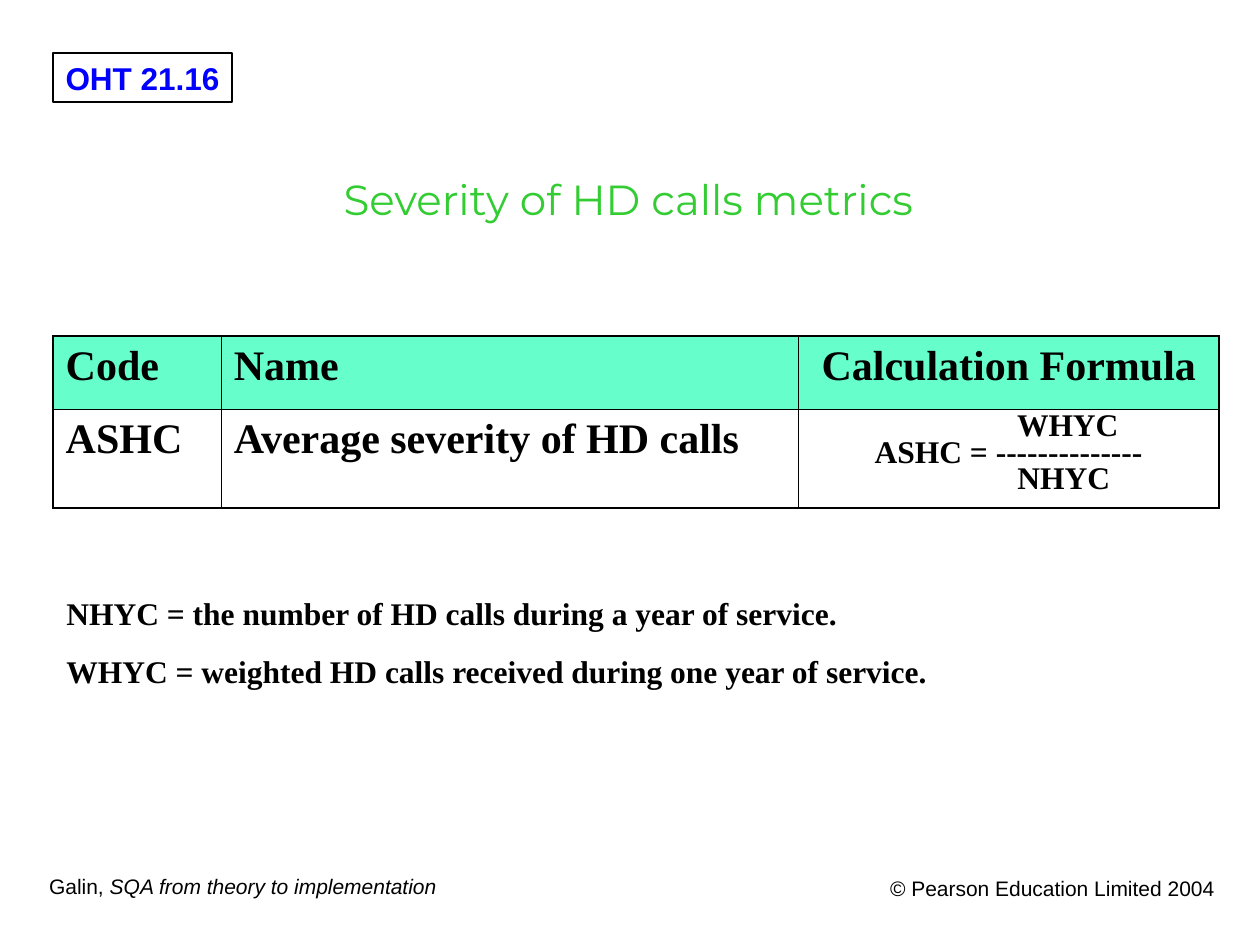
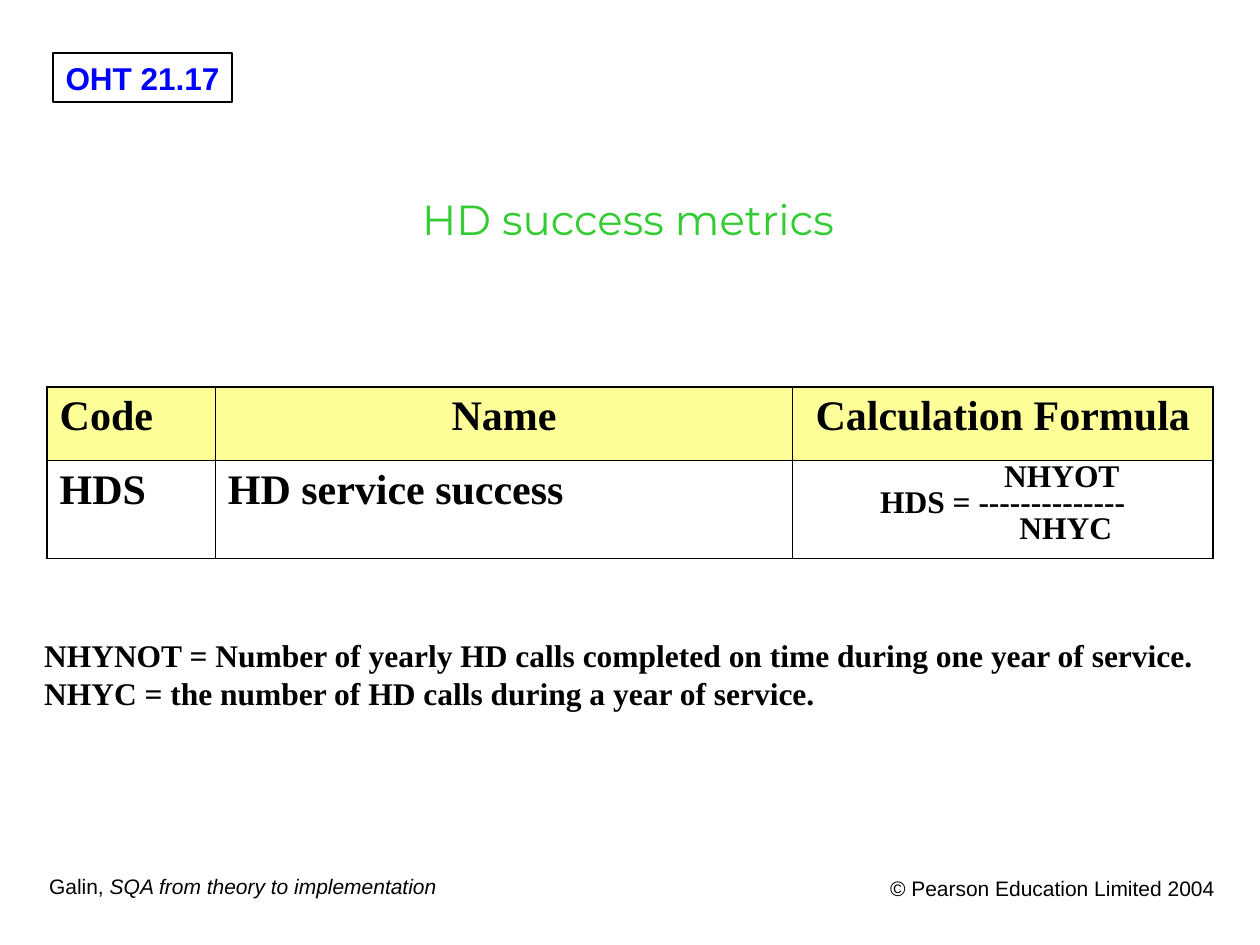
from lxml.etree import SubElement
from pptx import Presentation
from pptx.dml.color import RGBColor
from pptx.enum.shapes import MSO_SHAPE
from pptx.enum.text import MSO_ANCHOR, PP_ALIGN
from pptx.oxml.ns import qn
from pptx.util import Cm, Pt

BLACK, BLUE, GREEN = "000000", "0000FF", "33CC33"
SANS, SERIF, DISPLAY = "Arial", "Times New Roman", "Montserrat"
LEFT, CENTER, RIGHT = PP_ALIGN.LEFT, PP_ALIGN.CENTER, PP_ALIGN.RIGHT

TAG_BOX = (1.07, 1.07, 3.61, 0.99)
SOURCE_BOX = (0.74, 17.48, 8.33, 0.76)
COPYRIGHT_BOX = (16.87, 17.53, 7.87, 0.99)
SOURCE = [("Galin, ", False), ("SQA from theory to implementation", True)]
COPYRIGHT = "© Pearson Education Limited 2004"

HEADERS = ["Code", "Name", "Calculation Formula"]
COLUMN_WIDTHS = [3.39, 11.64, 8.47]
ROW_HEIGHTS = [1.48, 1.98]
OUTER_LINE, INNER_LINE = 1.08, 0.45

METRICS = [
    {
        "tag": "OHT 21.16",
        "title": "Severity of HD calls metrics",
        "title_box": (3.0, 3.38, 19.33, 1.35),
        "table_at": (1.07, 6.78),
        "header_fill": "66FFCC",
        "name_align": LEFT,
        "code": "ASHC",
        "name": "Average severity of HD calls",
        "formula": [("WHYC", 2.38), ("ASHC = --------------", 0), ("NHYC", 2.22)],
        "notes": ["NHYC = the number of HD calls during a year of service.",
                  "WHYC = weighted HD calls received during one year of service."],
        "notes_box": (1.09, 11.86, 20.27, 2.18),
        "notes_gap": 11.2,
    },
    {
        "tag": "OHT 21.17",
        "title": "HD success metrics",
        "title_box": (5.74, 3.78, 13.84, 1.14),
        "table_at": (0.95, 7.8),
        "header_fill": "FFFF99",
        "name_align": CENTER,
        "code": "HDS",
        "name": "HD service success",
        "formula": [("NHYOT", 2.38), ("HDS = --------------", 0), ("NHYC", 2.54)],
        "notes": ["NHYNOT = Number of yearly HD calls completed on time during one year of service.",
                  "NHYC = the number of HD calls during a year of service."],
        "notes_box": (0.64, 12.7, 23.93, 2.54),
        "notes_gap": 0,
    },
]


def color(value):
    return RGBColor.from_string(value)


def lengths(values):
    return [Cm(value) for value in values]


def style(paragraph, size, font, font_color=BLACK, bold=False, align=LEFT):
    paragraph.alignment = align
    paragraph.font.size = Pt(size)
    paragraph.font.name = font
    paragraph.font.bold = bold
    paragraph.font.color.rgb = color(font_color)


def write_lines(frame, lines, size, font, gap=0, **look):
    for index, line in enumerate(lines):
        paragraph = frame.add_paragraph() if index else frame.paragraphs[0]
        paragraph.text = line
        if index and gap:
            paragraph.space_before = Pt(gap)
        style(paragraph, size, font, **look)


def add_text(slide, box, lines, size, font, wrap=True, **look):
    frame = slide.shapes.add_textbox(*lengths(box)).text_frame
    frame.word_wrap = wrap
    write_lines(frame, lines, size, font, **look)
    return frame


def add_frame(slide, tag):
    shape = slide.shapes.add_shape(MSO_SHAPE.RECTANGLE, *lengths(TAG_BOX))
    shape.shadow.inherit = False
    shape.fill.background()
    shape.line.color.rgb = color(BLACK)
    shape.line.width = Pt(0.75)
    shape.text_frame.word_wrap = False
    shape.text_frame.vertical_anchor = MSO_ANCHOR.MIDDLE
    write_lines(shape.text_frame, [tag], 18, SANS,
                font_color=BLUE, bold=True, align=CENTER)

    source = add_text(slide, SOURCE_BOX, [""], 12, SANS, wrap=False)
    for text, italic in SOURCE:
        run = source.paragraphs[0].add_run()
        run.text = text
        run.font.italic = italic
    add_text(slide, COPYRIGHT_BOX, [COPYRIGHT], 12, SANS, align=RIGHT)


def set_borders(cell, row, column):
    outer_sides = {
        "L": column == 0,
        "R": column == len(COLUMN_WIDTHS) - 1,
        "T": row == 0,
        "B": row == len(ROW_HEIGHTS) - 1,
    }
    properties = cell._tc.get_or_add_tcPr()
    for side, outer in outer_sides.items():
        width = Pt(OUTER_LINE if outer else INNER_LINE)
        line = SubElement(properties, qn(f"a:ln{side}"), w=str(width))
        fill = SubElement(line, qn("a:solidFill"))
        SubElement(fill, qn("a:srgbClr"), val=BLACK)


def write_formula(frame, formula):
    write_lines(frame, [text for text, _ in formula], 18, SERIF,
                bold=True, align=CENTER)
    for paragraph, (_, indent) in zip(frame.paragraphs, formula):
        paragraph.line_spacing = 0.75
        paragraph._p.get_or_add_pPr().set("marL", str(Cm(indent)))


def add_metric_table(slide, metric):
    size = (sum(COLUMN_WIDTHS), sum(ROW_HEIGHTS))
    table = slide.shapes.add_table(len(ROW_HEIGHTS), len(COLUMN_WIDTHS),
                                   *lengths(metric["table_at"] + size)).table
    table.first_row = table.horz_banding = False
    for column, width in zip(table.columns, COLUMN_WIDTHS):
        column.width = Cm(width)
    for row, height in zip(table.rows, ROW_HEIGHTS):
        row.height = Cm(height)

    header_aligns = [LEFT, metric["name_align"], CENTER]
    for column, (header, align) in enumerate(zip(HEADERS, header_aligns)):
        cell = table.cell(0, column)
        write_lines(cell.text_frame, [header], 24, SERIF, bold=True, align=align)
        set_borders(cell, 0, column)
        cell.fill.solid()
        cell.fill.fore_color.rgb = color(metric["header_fill"])

        cell = table.cell(1, column)
        set_borders(cell, 1, column)
        cell.fill.background()
    for column, key in enumerate(["code", "name"]):
        write_lines(table.cell(1, column).text_frame, [metric[key]], 24, SERIF, bold=True)
    write_formula(table.cell(1, 2).text_frame, metric["formula"])


def main():
    presentation = Presentation()
    presentation.slide_width, presentation.slide_height = Cm(25.4), Cm(19.05)
    for metric in METRICS:
        slide = presentation.slides.add_slide(presentation.slide_layouts[6])
        add_frame(slide, metric["tag"])
        add_metric_table(slide, metric)
        add_text(slide, metric["notes_box"], metric["notes"], 18, SERIF,
                 gap=metric["notes_gap"], bold=True)
        add_text(slide, metric["title_box"], [metric["title"]], 24, DISPLAY,
                 wrap=False, font_color=GREEN, align=CENTER)
    presentation.save("out.pptx")


if __name__ == "__main__":
    main()
